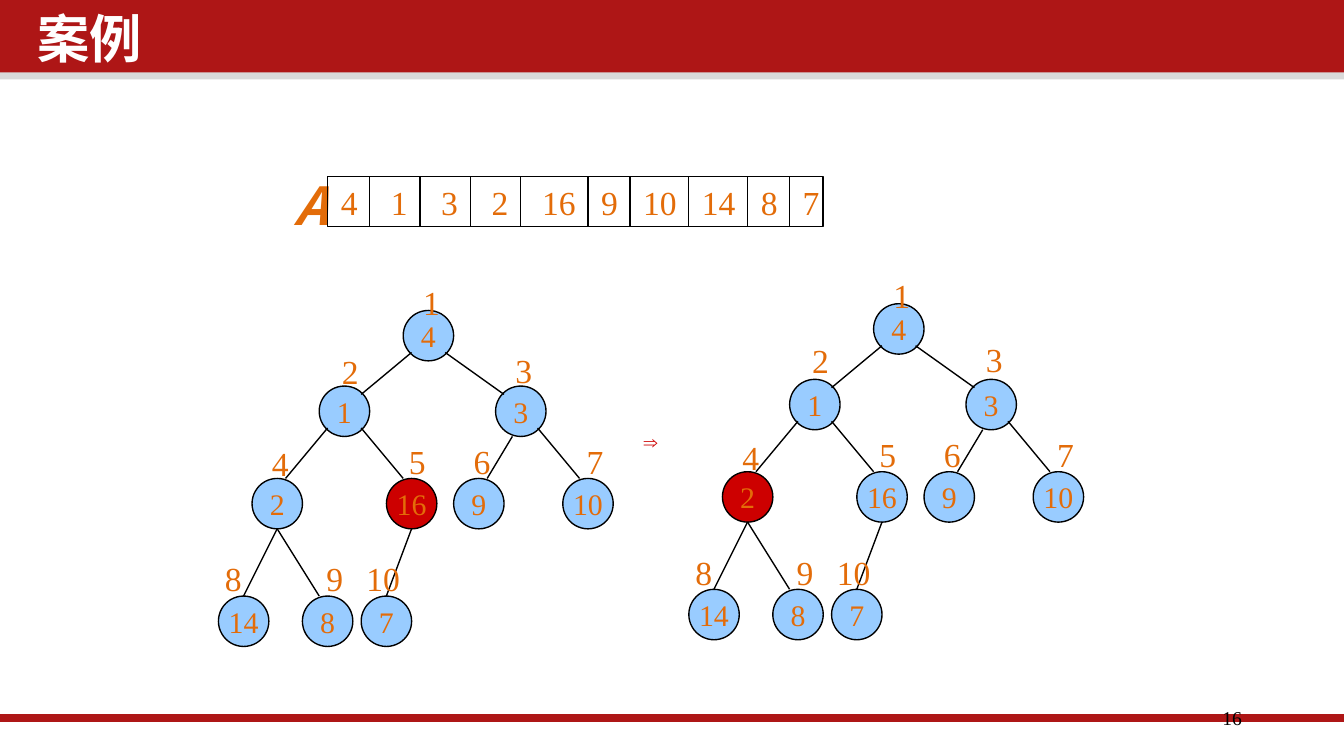
from lxml import etree
from pptx import Presentation
from pptx.dml.color import RGBColor
from pptx.enum.shapes import MSO_CONNECTOR, MSO_SHAPE
from pptx.enum.text import MSO_ANCHOR, PP_ALIGN
from pptx.oxml.ns import qn
from pptx.util import Inches, Pt

RECT, OVAL = MSO_SHAPE.RECTANGLE, MSO_SHAPE.OVAL
LINE = MSO_CONNECTOR.STRAIGHT
LEFT, MID, RIGHT = PP_ALIGN.LEFT, PP_ALIGN.CENTER, PP_ALIGN.RIGHT
TOP, CENTER = MSO_ANCHOR.TOP, MSO_ANCHOR.MIDDLE

# Content
W = 10
H = W * 9 / 16
U = 1 / 16  # grid unit of the array and the trees, in inches
SIZE = 6    # node diameter in units
COLORS = {"bar": "AE1616", "strip": "D9D9D9", "ink": "000000", "text": "E36C09",
          "node": "99CCFF", "mark": "CD0000", "white": "FFFFFF"}
SERIF, SANS = "Times New Roman", "Noto Sans CJK SC"

# Array cells: value, width in units, indent in inches
CELLS = [("4", 5, .1), ("1", 6, .16), ("3", 6, .16), ("2", 6, .16), ("16", 8, .16),
         ("9", 5, .1), ("10", 7, .1), ("14", 7, .1), ("8", 5, .1), ("7", 4, .1)]
ARRAY = (39, 21, 6)  # left, top, height in units

# Nodes by heap index: value, column, level, index label offset in inches
NODES = [("4", 22, 0, .05, -.26), ("1", 12, 1, .07, -.31), ("3", 33, 1, .05, -.32),
         ("2", 4, 2, .05, -.31), ("16", 20, 2, .07, -.33), ("9", 28, 2, .05, -.33),
         ("10", 41, 2, .08, -.33), ("14", 0, 3, -.05, -.33), ("8", 10, 3, .08, -.33),
         ("7", 17, 3, -.06, -.33)]
LEVELS = [0, 9, 20, 34]  # rows in units
# Edges: parent, child, start and end inside each node, in units
EDGES = [(1, 2, (1, 5), (5, 1)), (1, 3, (5, 5), (1, 1)), (2, 4, (1, 5), (4, 0)),
         (2, 5, (5, 5), (2, 0)), (3, 6, (2, 6), (4, 0)), (3, 7, (5, 5), (2, 0)),
         (4, 8, (3, 6), (3, 0)), (4, 9, (3, 6), (2, 0)), (5, 10, (3, 6), (3, 0))]
# Trees: left in units, top in inches, marked index, lift of the second level's labels
TREES = [(26, 2.31, 5, 0), (82, 2.26, 4, .03)]

prs = Presentation()
prs.slide_width, prs.slide_height = Inches(W), Inches(H)
slide = prs.slides.add_slide(prs.slide_layouts[6])


def color(name):
    return RGBColor.from_string(COLORS[name])


def write(text, shape=None, box=None, size=18, font=SERIF, ink="text", bold=False,
          slant=False, align=LEFT, anchor=TOP, wrap=False, pad=(.1, .05),
          lead=None, before=0):
    shape = shape or slide.shapes.add_textbox(*map(Inches, box))
    frame = shape.text_frame
    frame.word_wrap, frame.vertical_anchor = wrap, anchor
    frame.margin_left = frame.margin_right = Inches(pad[0])
    frame.margin_top = frame.margin_bottom = Inches(pad[1])
    para = frame.paragraphs[0]
    para.alignment, para.line_spacing, para.space_before = align, lead, Pt(before)
    run = para.add_run()
    run.text = text
    run.font.size, run.font.name = Pt(size), font
    run.font.bold, run.font.italic = bold, slant
    run.font.color.rgb = color(ink)
    props = run._r.get_or_add_rPr()
    etree.SubElement(props, qn("a:ea")).set("typeface", font)
    return para


def block(kind, box, fill=None, edge=False):
    shape = slide.shapes.add_shape(kind, *map(Inches, box))
    shape.shadow.inherit = False
    if fill:
        shape.fill.solid()
        shape.fill.fore_color.rgb = color(fill)
    else:
        shape.fill.background()
    if edge:
        shape.line.color.rgb, shape.line.width = color("ink"), Pt(.75)
    else:
        shape.line.fill.background()
    return shape


def rule(x1, y1, x2, y2, ink="ink", width=.75):
    line = slide.shapes.add_connector(LINE, *map(Inches, (x1, y1, x2, y2)))
    line.line.color.rgb, line.line.width = color(ink), Pt(width)
    etree.SubElement(line._element.spPr, qn("a:effectLst"))


def draw_array():
    left, top, high = (n * U for n in ARRAY)
    wide = sum(cell[1] for cell in CELLS) * U
    row = block(RECT, (left, top, wide, high), edge=True)
    para = write("\t".join(cell[0] for cell in CELLS), row, anchor=CENTER, wrap=True)
    row.text_frame.margin_right = 0
    tabs = etree.SubElement(para._p.get_or_add_pPr(), qn("a:tabLst"))
    x = 0
    for i, (_, span, indent) in enumerate(CELLS):
        if i:
            rule(left + x, top, left + x, top + high)
            stop = etree.SubElement(tabs, qn("a:tab"))
            stop.set("pos", str(Inches(x + indent - .1)))
            stop.set("algn", "l")
        x += span * U


def draw_tree(left, top, mark, lift):
    spots = [((left + col) * U, top + LEVELS[level] * U) for _, col, level, _, _ in NODES]
    for i, (value, *_) in enumerate(NODES):
        fill = "mark" if i + 1 == mark else "node"
        node = block(OVAL, (*spots[i], SIZE * U, SIZE * U), fill, True)
        write(value, node, size=16, align=MID, anchor=CENTER)
    for start, end, (ax, ay), (bx, by) in EDGES:
        (x1, y1), (x2, y2) = spots[start - 1], spots[end - 1]
        rule(x1 + ax * U, y1 + ay * U, x2 + bx * U, y2 + by * U)
    for i, (_, _, level, dx, dy) in enumerate(NODES):
        x, y = spots[i]
        rise = lift if level == 1 else 0
        label = str(i + 1)
        write(label, box=(x + dx, y + dy - rise, .21 + .12 * len(label), .4))


# Frame of the slide
block(RECT, (0, .5, W, .09), "strip")
block(RECT, (0, 0, W, .54), "bar")
rule(0, .95 * H, W, .95 * H, "bar", 4)
write("16", box=(7.06, 5.21, 2.25, .3), size=10.5, ink="ink", align=RIGHT,
      wrap=True, pad=(.07, .04))

# Array and trees
head = dict(size=28, font=SANS, bold=True, wrap=True, pad=(.07, .04), lead=.9, before=7.5)
write("A", box=(2.12, 1.3, 7.19, 3.57), slant=True, **head)
draw_array()
for tree in TREES:
    draw_tree(*tree)
write("⇒", box=(4.69, 3.15, .34, .28), size=10.5, ink="mark")

# Title
write("案例", box=(.21, .06, 7.64, .59), ink="white", **head)

prs.save("out.pptx")
